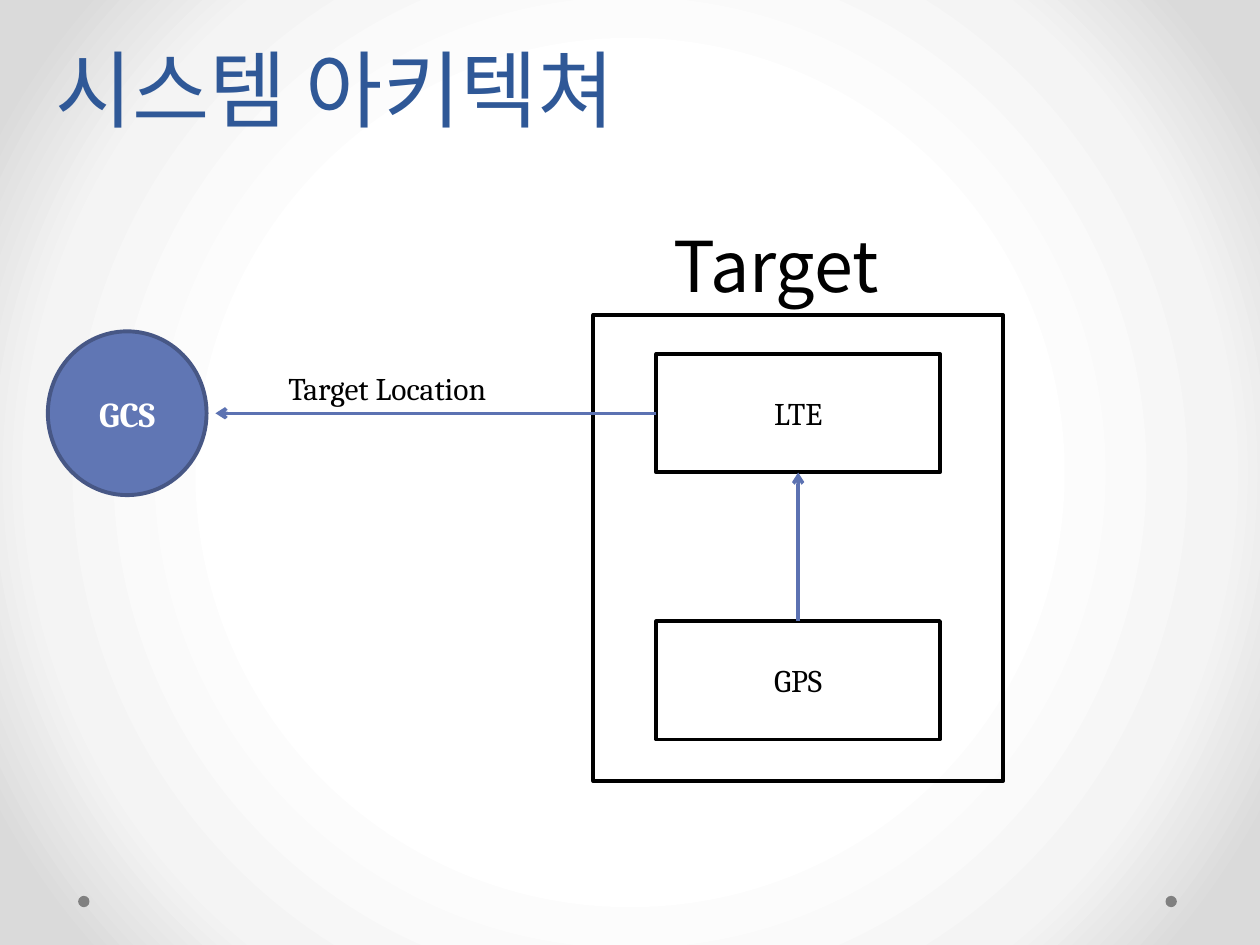
from pptx import Presentation
from pptx.dml.color import RGBColor
from pptx.enum.shapes import MSO_CONNECTOR, MSO_SHAPE
from pptx.enum.text import MSO_ANCHOR, MSO_AUTO_SIZE, PP_ALIGN
from pptx.oxml import parse_xml
from pptx.oxml.ns import nsdecls, qn
from pptx.util import Inches, Pt
from lxml import etree

RECT, OVAL = MSO_SHAPE.RECTANGLE, MSO_SHAPE.OVAL
STRAIGHT = MSO_CONNECTOR.STRAIGHT
CENTER = PP_ALIGN.CENTER
MIDDLE, BOTTOM = MSO_ANCHOR.MIDDLE, MSO_ANCHOR.BOTTOM
GROW = MSO_AUTO_SIZE.SHAPE_TO_FIT_TEXT
TOP, LEFT, BOTTOM_SIDE = 0, 1, 2

SERIF, SANS = "Cambria", "Noto Sans CJK KR"
COLORS = {
    "black": "000000",
    "white": "FFFFFF",
    "title": "2F5897",
    "arrow": "5C72B2",
    "circle": "6076B4",
    "circle_line": "475785",
    "dot": "808080",
}
BACKGROUND_STOPS = [(0, "FFFFFF"), (50, "FFFFFF"), (76, "F4F4F4"), (92, "DADADA")]


def rgb(name):
    return RGBColor.from_string(COLORS[name])


def set_background(slide):
    """Fill the background with a circular gradient from the centre."""
    stops = "".join(
        f'<a:gs pos="{pos * 1000}"><a:srgbClr val="{color}"/></a:gs>'
        for pos, color in BACKGROUND_STOPS
    )
    bg = parse_xml(
        f'<p:bg {nsdecls("p", "a")}><p:bgPr><a:gradFill rotWithShape="1">'
        f'<a:gsLst>{stops}</a:gsLst><a:path path="circle">'
        '<a:fillToRect l="50000" t="50000" r="50000" b="50000"/></a:path>'
        "</a:gradFill><a:effectLst/></p:bgPr></p:bg>"
    )
    slide.element.cSld.insert(0, bg)


def write(tf, text, size, color="black", font=SERIF, bold=False):
    p = tf.paragraphs[0]
    p.text = text
    p.font.size = Pt(size)
    p.font.name = font
    p.font.bold = bold
    p.font.color.rgb = rgb(color)
    return p


def add_block(slide, kind, box, fill=None, line=None, text=None, **style):
    sp = slide.shapes.add_shape(kind, *map(Inches, box))
    sp.shadow.inherit = False
    if fill:
        sp.fill.solid()
        sp.fill.fore_color.rgb = rgb(fill)
    else:
        sp.fill.background()
    if line:
        sp.line.color.rgb = rgb(line)
        sp.line.width = Pt(2.25)
    else:
        sp.line.fill.background()
    if text:
        sp.text_frame.vertical_anchor = MIDDLE
        write(sp.text_frame, text, **style).alignment = CENTER
    return sp


def add_label(slide, box, text, size, font=SERIF):
    tf = slide.shapes.add_textbox(*map(Inches, box)).text_frame
    tf.word_wrap = False
    tf.auto_size = GROW
    write(tf, text, size, font=font)


def add_title(slide, text):
    sp = slide.shapes.add_textbox(Inches(0.34), Inches(0.05), Inches(9.3), Inches(1.1))
    tf = sp.text_frame
    tf.word_wrap = True
    tf.vertical_anchor = BOTTOM
    write(tf, text, 48, "title").line_spacing = Pt(58)


def add_arrow(slide, start, end):
    cx = slide.shapes.add_connector(STRAIGHT, *map(Inches, start + end))
    cx.line.color.rgb = rgb("arrow")
    cx.line.width = Pt(2)
    etree.SubElement(cx.line._get_or_add_ln(), qn("a:tailEnd"), type="arrow")
    etree.SubElement(cx._element.spPr, qn("a:effectLst"))
    return cx


def main():
    prs = Presentation()
    prs.slide_width, prs.slide_height = Inches(10), Inches(7.5)
    slide = prs.slides.add_slide(prs.slide_layouts[6])
    set_background(slide)

    for x in (9.25, 0.62):
        add_block(slide, OVAL, (x, 7.11, 0.09, 0.09), fill="dot")

    add_block(slide, RECT, (4.71, 2.5, 3.25, 3.7), line="black")
    add_label(slide, (5.25, 1.72, 2.17, 0.77), "Target", 40, SANS)
    lte, gps = (
        add_block(slide, RECT, (5.21, y, 2.25, 0.94), line="black", text=text, size=18)
        for text, y in (("LTE", 2.81), ("GPS", 4.93))
    )

    gps_to_lte = add_arrow(slide, (6.33, 4.93), (6.33, 3.75))
    gps_to_lte.begin_connect(gps, TOP)
    gps_to_lte.end_connect(lte, BOTTOM_SIDE)
    lte_to_gcs = add_arrow(slide, (5.21, 3.28), (1.71, 3.28))
    lte_to_gcs.begin_connect(lte, LEFT)
    add_label(slide, (2.19, 2.88, 1.94, 0.4), "Target Location", 18)

    add_title(slide, "시스템 아키텍쳐")
    add_block(slide, OVAL, (0.38, 2.63, 1.26, 1.3), fill="circle", line="circle_line",
              text="GCS", size=20, color="white", bold=True)

    prs.save("out.pptx")


if __name__ == "__main__":
    main()
